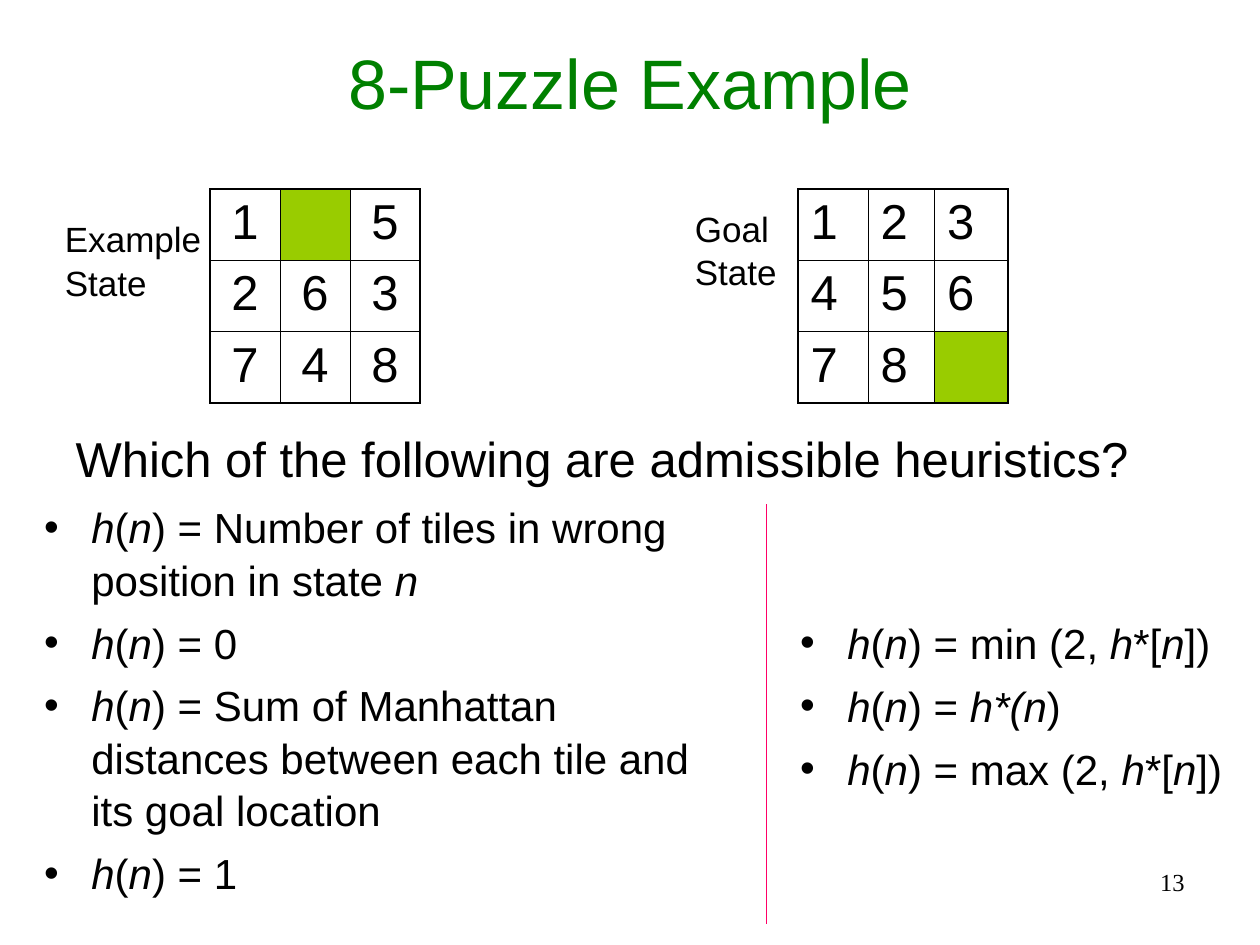
from lxml import etree
from pptx import Presentation
from pptx.dml.color import RGBColor
from pptx.enum import shapes, text
from pptx.oxml import ns
from pptx.util import Pt

BLACK = RGBColor(0x00, 0x00, 0x00)
GREEN = RGBColor(0x00, 0x80, 0x00)
LIME = RGBColor(0x99, 0xCC, 0x00)
PINK = RGBColor(0xFF, 0x00, 0x66)
LINE_SPACING = 1.04
LEFT, CENTER, RIGHT = text.PP_ALIGN.LEFT, text.PP_ALIGN.CENTER, text.PP_ALIGN.RIGHT

EXAMPLE_TILES = ["1 5", "263", "748"]
GOAL_TILES = ["123", "456", "78 "]
LEFT_HEURISTICS = [
    "_h_(_n_) = Number of tiles in wrong position in state _n_",
    "_h_(_n_) = 0",
    "_h_(_n_) = Sum of Manhattan distances between each tile and its goal location",
    "_h_(_n_) = 1",
]
RIGHT_HEURISTICS = [
    "_h_(_n_) = min (2, _h_*[_n_])",
    "_h_(_n_) = _h*(n_)",
    "_h_(_n_) = max (2, _h_*[_n_])",
]


def style(run, size, color=BLACK, font="Arial", italic=False):
    """Format one run of text."""
    run.font.name, run.font.size = font, Pt(size)
    run.font.bold, run.font.italic = False, italic
    run.font.color.rgb = color


def place(shape, box):
    """Move a shape to a box of left, top, width and height in points."""
    shape.left, shape.top, shape.width, shape.height = map(Pt, box)


def write_line(shape, wording, size, color=BLACK, align=LEFT, font="Arial",
               anchor=text.MSO_ANCHOR.TOP, spacing=LINE_SPACING):
    """Fill a shape with a single formatted paragraph."""
    frame = shape.text_frame
    frame.text = wording
    frame.word_wrap = True
    frame.auto_size = text.MSO_AUTO_SIZE.NONE
    frame.vertical_anchor = anchor
    paragraph = frame.paragraphs[0]
    paragraph.alignment, paragraph.line_spacing = align, spacing
    paragraph.space_before = Pt(0)
    style(paragraph.runs[0], size, color, font)


def add_label(slide, box, wording, size=20, **looks):
    """Add a text box with one short piece of text."""
    write_line(slide.shapes.add_textbox(*map(Pt, box)), wording, size, **looks)


def add_borders(cell, weights):
    """Draw the left, right, top and bottom borders of a cell."""
    properties = cell._tc.get_or_add_tcPr()
    for side, weight in zip("LRTB", weights):
        border = etree.SubElement(properties, ns.qn(f"a:ln{side}"), w=str(Pt(weight)))
        fill = etree.SubElement(border, ns.qn("a:solidFill"))
        etree.SubElement(fill, ns.qn("a:srgbClr"), val=str(BLACK))


def add_puzzle(slide, left, top, widths, tiles, align):
    """Draw a puzzle state as a table whose blank tile is coloured."""
    row_height, outer, inner = 40.8, 1.08, 0.45
    last = len(tiles) - 1
    board = slide.shapes.add_table(
        len(tiles), len(widths), Pt(left), Pt(top),
        Pt(sum(widths)), Pt(row_height * len(tiles))).table
    board.first_row = board.horz_banding = False
    for column, width in zip(board.columns, widths):
        column.width = Pt(width)
    for r, row in enumerate(tiles):
        board.rows[r].height = Pt(row_height)
        for c, tile in enumerate(row):
            cell = board.cell(r, c)
            edges = (c == 0, c == last, r == 0, r == last)
            add_borders(cell, [outer if edge else inner for edge in edges])
            if tile == " ":
                cell.fill.solid()
                cell.fill.fore_color.rgb = LIME
                continue
            cell.fill.background()
            cell.text = tile
            paragraph = cell.text_frame.paragraphs[0]
            paragraph.alignment = align
            style(paragraph.runs[0], 28)


def fill_heuristics(body, box, heuristics):
    """Fill a body placeholder with bullets, italic between underscores."""
    place(body, box)
    frame = body.text_frame
    frame.auto_size = text.MSO_AUTO_SIZE.NONE
    for number, heuristic in enumerate(heuristics):
        paragraph = frame.add_paragraph() if number else frame.paragraphs[0]
        properties = paragraph._p.get_or_add_pPr()
        properties.set("marL", str(Pt(27)))
        properties.set("indent", str(-Pt(27)))
        etree.SubElement(properties, ns.qn("a:buFont"), typeface="Arial")
        etree.SubElement(properties, ns.qn("a:buChar"), char="•")
        paragraph.line_spacing = LINE_SPACING
        paragraph.space_before = Pt(6 if number else 0)
        for part, wording in enumerate(heuristic.split("_")):
            if wording:
                run = paragraph.add_run()
                run.text = wording
                style(run, 24, italic=part % 2 == 1)


def add_divider(slide, x, top, bottom):
    """Draw the vertical line between the two lists."""
    divider = slide.shapes.add_connector(
        shapes.MSO_CONNECTOR.STRAIGHT, Pt(x), Pt(top), Pt(x), Pt(bottom))
    divider.line.color.rgb = PINK
    divider.line.width = Pt(0.75)
    etree.SubElement(divider._element.spPr, ns.qn("a:effectLst"))


def build_puzzle_slide(deck):
    """Lay out the title, both puzzle states, the question and the lists."""
    slide = deck.slides.add_slide(deck.slide_layouts.get_by_name("Comparison"))
    title, question, left_list, spare, right_list = slide.placeholders
    spare._element.getparent().remove(spare._element)

    place(title, (36, 21.6, 648, 50.4))
    write_line(title, "8-Puzzle Example", 40, GREEN, CENTER,
               anchor=text.MSO_ANCHOR.MIDDLE, spacing=1)
    place(question, (36, 240, 648, 48))
    write_line(question, "Which of the following are admissible heuristics?", 28)

    add_puzzle(slide, 120, 108, (40, 40, 40), EXAMPLE_TILES, CENTER)
    add_puzzle(slide, 456, 108, (40, 38, 42), GOAL_TILES, LEFT)
    add_label(slide, (30, 120, 96, 55.4), "Example State")
    add_label(slide, (390, 114, 90, 55.4), "Goal State")

    fill_heuristics(left_list, (18, 282, 408, 243), LEFT_HEURISTICS)
    fill_heuristics(right_list, (450, 348, 258, 134.6), RIGHT_HEURISTICS)
    add_divider(slide, 438, 288, 528)
    add_label(slide, (342, 492, 342, 37.4), "13", 14, align=RIGHT,
              font="Times New Roman", spacing=1)


def main():
    """Build and save the deck."""
    deck = Presentation()
    deck.slide_width, deck.slide_height = Pt(720), Pt(540)
    build_puzzle_slide(deck)
    deck.save("out.pptx")


if __name__ == "__main__":
    main()
